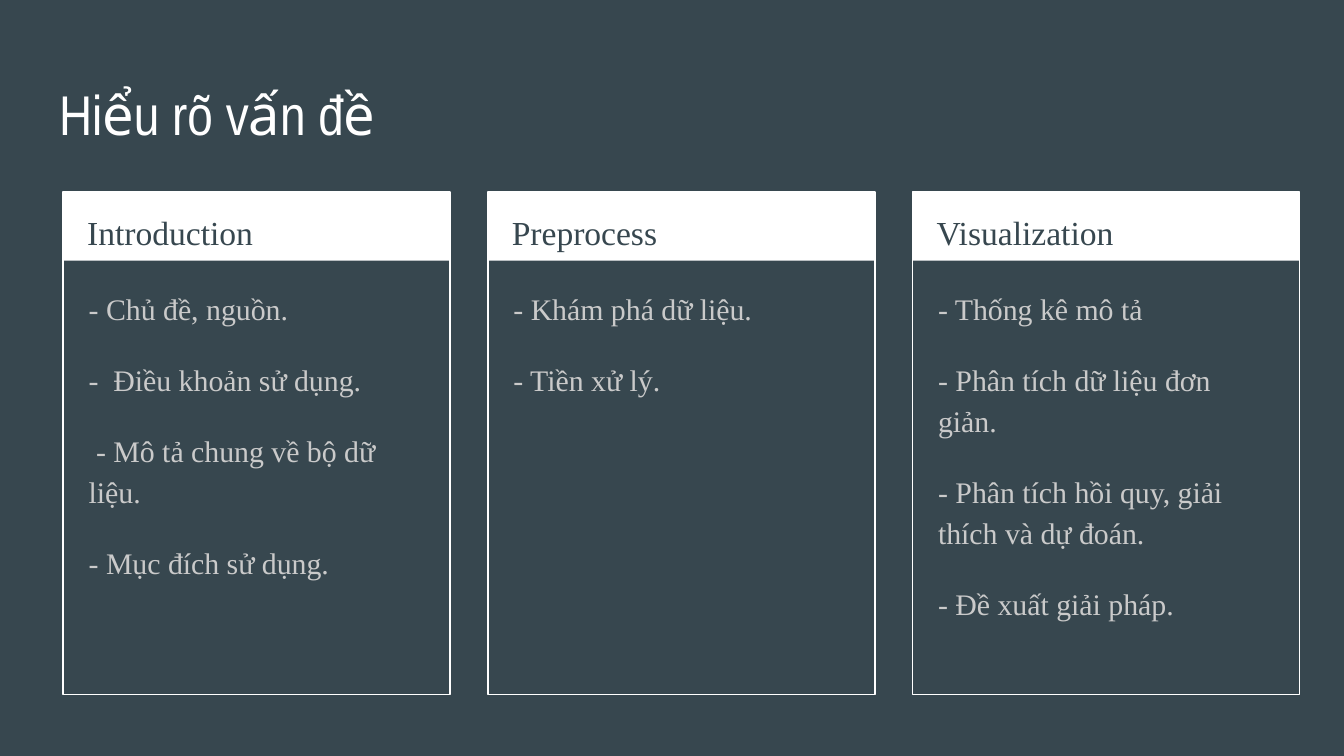
from lxml import etree
from pptx import Presentation
from pptx.dml.color import RGBColor
from pptx.enum.lang import MSO_LANGUAGE_ID
from pptx.enum.shapes import MSO_SHAPE
from pptx.enum.text import MSO_ANCHOR, MSO_AUTO_SIZE, PP_ALIGN
from pptx.oxml.ns import qn
from pptx.util import Inches, Pt

RECT = MSO_SHAPE.RECTANGLE
TOP = MSO_ANCHOR.TOP
NO_FIT = MSO_AUTO_SIZE.NONE
LEFT = PP_ALIGN.LEFT
VIETNAMESE = MSO_LANGUAGE_ID.VIETNAMESE

COLORS = {"slate": "37474F", "white": "FFFFFF", "grey": "CACACA"}
TITLE_FONT, BODY_FONT = "Arial Narrow", "Times New Roman"

TITLE = "Hiểu rõ vấn đề"
COLUMNS = [
    ("Introduction", [
        "- Chủ đề, nguồn.",
        "-  Điều khoản sử dụng.",
        " - Mô tả chung về bộ dữ liệu.",
        "- Mục đích sử dụng.",
    ]),
    ("Preprocess", [
        "- Khám phá dữ liệu.",
        "- Tiền xử lý.",
    ]),
    ("Visualization", [
        "- Thống kê mô tả",
        "- Phân tích dữ liệu đơn giản.",
        "- Phân tích hồi quy, giải thích và dự đoán.",
        "- Đề xuất giải pháp.",
    ]),
]

COMPARISON_LAYOUT = 4
LIST_PLACEHOLDERS = (1, 2, 4)
SPARE_PLACEHOLDER = 3

CARD_LEFT, CARD_TOP, CARD_STEP = 0.47, 1.43, 3.16
CARD_W, CARD_H, BAR_H = 2.88, 3.74, 0.51


def rgb(name):
    return RGBColor.from_string(COLORS[name])


def place(shape, x, y, w, h):
    shape.left, shape.top = Inches(x), Inches(y)
    shape.width, shape.height = Inches(w), Inches(h)


def write(shape, lines, *, size, color, font=BODY_FONT, spacing=1.0, gap=0):
    """Fill a shape with unbulleted paragraphs, gap points apart."""
    tf = shape.text_frame
    tf.word_wrap = True
    tf.auto_size = NO_FIT
    tf.vertical_anchor = TOP
    tf.margin_left = tf.margin_right = Inches(0.1)
    tf.margin_top = tf.margin_bottom = Inches(0.1)
    for i, line in enumerate(lines):
        p = tf.add_paragraph() if i else tf.paragraphs[0]
        p.alignment = LEFT
        p.line_spacing = spacing
        p.space_before = Pt(gap if i else 0)
        p.space_after = Pt(0)
        pPr = p._p.get_or_add_pPr()
        pPr.set("marL", "0")
        pPr.set("indent", "0")
        etree.SubElement(pPr, qn("a:buNone"))
        r = p.add_run()
        r.text = line
        r.font.name = font
        r.font.size = Pt(size)
        r.font.bold = False
        r.font.language_id = VIETNAMESE
        r.font.color.rgb = rgb(color)
        rPr = r._r.get_or_add_rPr()
        for tag in ("a:ea", "a:cs", "a:sym"):
            if tag != "a:sym":
                etree.SubElement(rPr, qn(tag)).set("typeface", font)


def add_rect(s, x, y, w, h, *, fill=None, line=None):
    sp = s.shapes.add_shape(RECT, Inches(x), Inches(y), Inches(w), Inches(h))
    sp.shadow.inherit = False
    if fill:
        sp.fill.solid()
        sp.fill.fore_color.rgb = rgb(fill)
    else:
        sp.fill.background()
    if line:
        sp.line.color.rgb = rgb(line)
        sp.line.width = Pt(0.75)
    else:
        sp.line.fill.background()


def add_column(s, x, heading, items, body):
    add_rect(s, x, CARD_TOP, CARD_W, BAR_H, fill="white")
    add_rect(s, x, CARD_TOP, CARD_W, CARD_H, line="white")
    head = s.shapes.add_textbox(Inches(x + 0.08), Inches(CARD_TOP),
                                Inches(2.73), Inches(0.5))
    write(head, [heading], size=18, color="slate", spacing=1.15)
    place(body, x + 0.09, 2.02, 2.71, 3.06)
    write(body, items, size=16, color="grey", spacing=1.15, gap=16)


def main():
    prs = Presentation()
    prs.slide_width = Inches(10)
    prs.slide_height = prs.slide_width * 9 // 16
    s = prs.slides.add_slide(prs.slide_layouts[COMPARISON_LAYOUT])
    s.background.fill.solid()
    s.background.fill.fore_color.rgb = rgb("slate")

    holders = {ph.placeholder_format.idx: ph for ph in s.placeholders}
    spare = holders[SPARE_PLACEHOLDER].element
    spare.getparent().remove(spare)

    title = s.shapes.title
    place(title, 0.34, 0.49, 9.32, 0.63)
    write(title, [TITLE], size=30, color="white", font=TITLE_FONT)

    for i, (heading, items) in enumerate(COLUMNS):
        add_column(s, CARD_LEFT + i * CARD_STEP, heading, items,
                   holders[LIST_PLACEHOLDERS[i]])

    prs.save("out.pptx")


if __name__ == "__main__":
    main()
